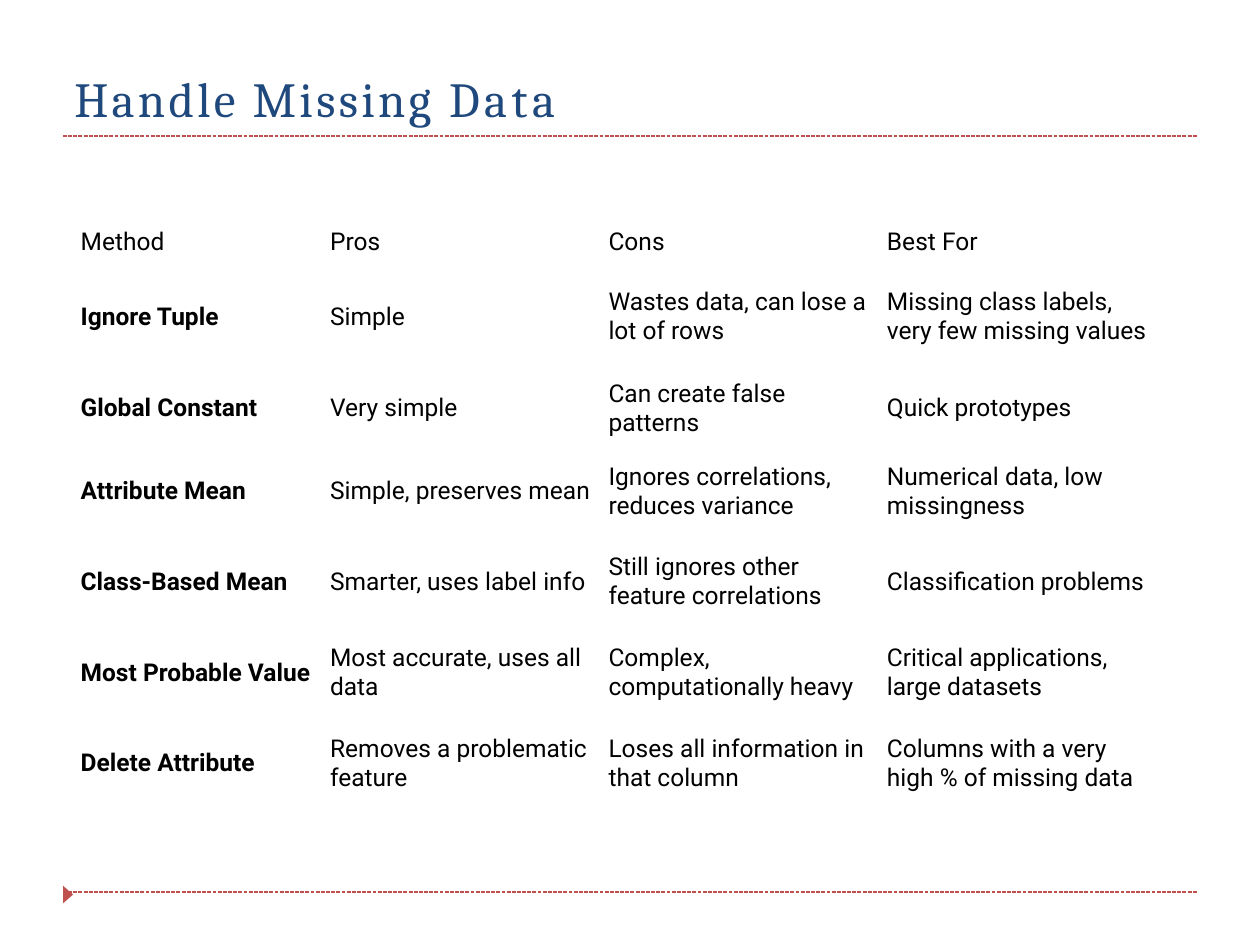
import dataclasses

import pptx
import pptx.dml.color
import pptx.enum.dml
import pptx.enum.shapes
import pptx.enum.text
import pptx.oxml.ns
import pptx.util
from lxml import etree

EMU_PER_PX = 9144


@dataclasses.dataclass(frozen=True)
class Theme:
    title_font: str = "Cambria"
    body_font: str = "Roboto"
    title_size: int = 28
    body_size: int = 14
    rule_width: float = 0.75
    title_color: str = "1F487C"
    body_color: str = "000000"
    accent: str = "C0504D"


THEME = Theme()
RULE_LEFT, RULE_RIGHT = 50, 950
TITLE_RUNS = [("Handle Missing ", 190), ("Data", 260)]
COLUMN_WIDTHS = [196, 221, 221, 221]
ROW_HEIGHTS = [34, 85, 60, 72, 72, 72, 72]
METHODS = [
    ("Method", "Pros", "Cons", "Best For"),
    ("Ignore Tuple", "Simple", "Wastes data, can lose a lot of rows",
     "Missing class labels, very few missing values"),
    ("Global Constant", "Very simple", "Can create false patterns", "Quick prototypes"),
    ("Attribute Mean", "Simple, preserves mean", "Ignores correlations, reduces variance",
     "Numerical data, low missingness"),
    ("Class-Based Mean", "Smarter, uses label info",
     "Still ignores other feature correlations", "Classification problems"),
    ("Most Probable Value", "Most accurate, uses all data",
     "Complex, computationally heavy", "Critical applications, large datasets"),
    ("Delete Attribute", "Removes a problematic feature",
     "Loses all information in that column", "Columns with a very high % of missing data"),
]


def px(length):
    return pptx.util.Emu(length * EMU_PER_PX)


def color(value):
    return pptx.dml.color.RGBColor.from_string(value)


def add_run(paragraph, text, font_name, size, font_color, bold=False):
    run = paragraph.add_run()
    run.text = text
    run.font.name = font_name
    run.font.size = pptx.util.Pt(size)
    run.font.color.rgb = color(font_color)
    run.font.bold = bold
    return run


def set_margins(target, left, top, right, bottom):
    target.margin_left, target.margin_top = px(left), px(top)
    target.margin_right, target.margin_bottom = px(right), px(bottom)


def add_rule(slide, y):
    rule = slide.shapes.add_connector(
        pptx.enum.shapes.MSO_CONNECTOR.STRAIGHT, px(RULE_LEFT), px(y), px(RULE_RIGHT), px(y))
    rule.line.color.rgb = color(THEME.accent)
    rule.line.width = pptx.util.Pt(THEME.rule_width)
    rule.line.dash_style = pptx.enum.dml.MSO_LINE.SQUARE_DOT
    etree.SubElement(rule._element.spPr, pptx.oxml.ns.qn("a:effectLst"))


def add_marker(slide, points):
    builder = slide.shapes.build_freeform(*points[0], scale=EMU_PER_PX)
    builder.add_line_segments(points[1:], close=True)
    marker = builder.convert_to_shape()
    marker.shadow.inherit = False
    marker.fill.solid()
    marker.fill.fore_color.rgb = color(THEME.accent)
    marker.line.fill.background()


def format_title(slide):
    title = slide.shapes.title
    title.left, title.top, title.width, title.height = px(59), px(54), px(794), px(47)
    frame = title.text_frame
    set_margins(frame, 0, 0, 0, 0)
    frame.word_wrap = True
    frame.auto_size = pptx.enum.text.MSO_AUTO_SIZE.SHAPE_TO_FIT_TEXT
    frame.vertical_anchor = pptx.enum.text.MSO_ANCHOR.TOP
    paragraph = frame.paragraphs[0]
    paragraph.alignment = pptx.enum.text.PP_ALIGN.LEFT
    for text, spacing in TITLE_RUNS:
        run = add_run(paragraph, text, THEME.title_font, THEME.title_size, THEME.title_color)
        run.font._element.set("spc", str(spacing))


def fill_cell(cell, text, row, column):
    cell.fill.background()
    cell.vertical_anchor = pptx.enum.text.MSO_ANCHOR.MIDDLE
    last_column = column == len(COLUMN_WIDTHS) - 1
    set_margins(cell, 5 if column == 0 else 7, 4, 5 if row and last_column else 7, 4)
    add_run(cell.text_frame.paragraphs[0], text, THEME.body_font, THEME.body_size,
            THEME.body_color, bold=row > 0 and column == 0)


def add_methods_table(slide):
    table = slide.shapes.add_table(
        len(ROW_HEIGHTS), len(COLUMN_WIDTHS), px(59), px(175),
        px(sum(COLUMN_WIDTHS)), px(sum(ROW_HEIGHTS))).table
    table.first_row = False
    table.horz_banding = False
    for column, width in zip(table.columns, COLUMN_WIDTHS):
        column.width = px(width)
    for row, height in zip(table.rows, ROW_HEIGHTS):
        row.height = px(height)
    for row_index, texts in enumerate(METHODS):
        for column_index, text in enumerate(texts):
            fill_cell(table.cell(row_index, column_index), text, row_index, column_index)


def main():
    presentation = pptx.Presentation()
    presentation.slide_width, presentation.slide_height = px(1000), px(750)
    slide = presentation.slides.add_slide(presentation.slide_layouts[5])
    for y in (708, 108):
        add_rule(slide, y)
    add_marker(slide, [(50, 703), (50, 717), (58, 710)])
    format_title(slide)
    add_methods_table(slide)
    presentation.save("out.pptx")


if __name__ == "__main__":
    main()
